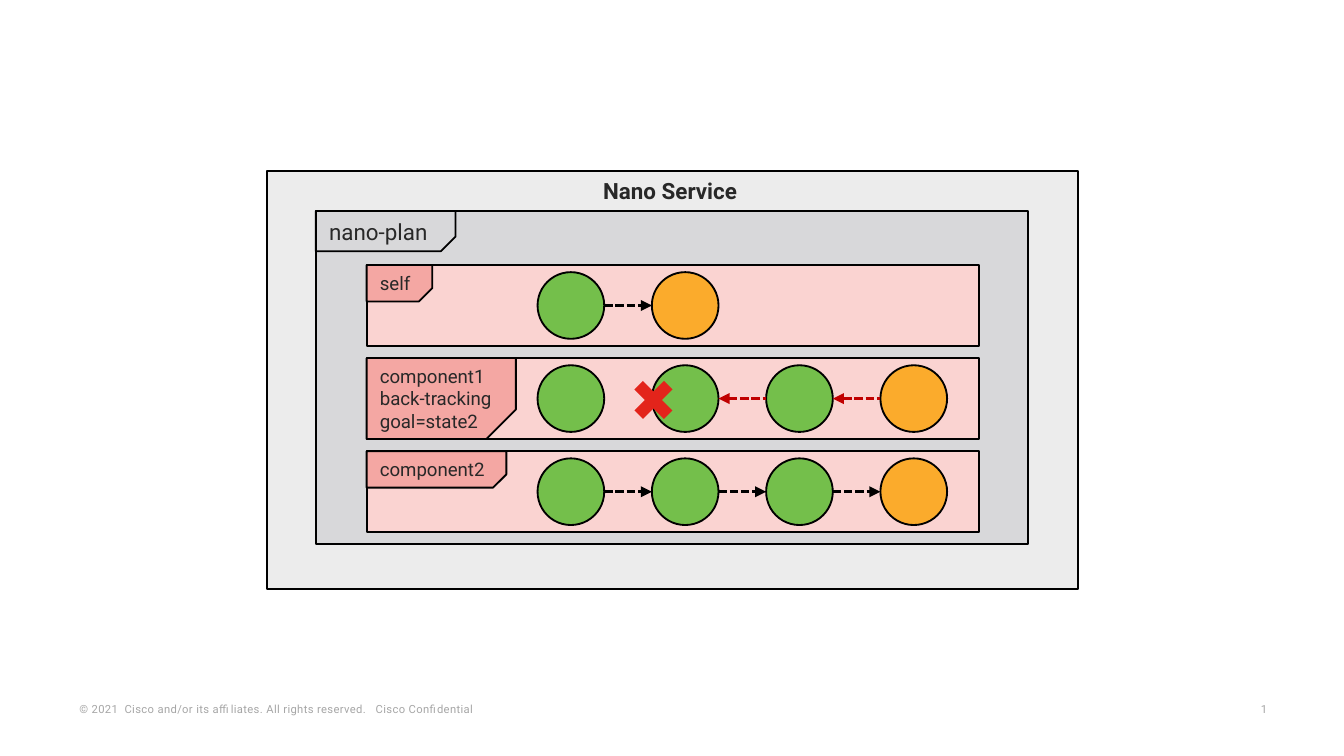
from lxml.etree import SubElement
from pptx import Presentation
from pptx.dml.color import RGBColor
from pptx.enum.dml import MSO_LINE
from pptx.enum.shapes import MSO_CONNECTOR, MSO_SHAPE
from pptx.enum.text import MSO_ANCHOR
from pptx.oxml.ns import qn
from pptx.util import Cm, Pt

BLACK, RED, DARK, GREY = "000000", "C00000", "282828", "A6A6A6"
GREEN, ORANGE = "74BF4B", "FBAB2C"

# Lengths in cm
BAR_X, BAR_Y, BAR_W, BAR_H, BAR_PITCH = 6.93, 5.01, 11.58, 1.53, 1.76
STATE_X, STATE_D, STATE_PITCH = 10.16, 1.26, 2.16

# Label lines, tag width, tag height, number of states, linked gaps, backwards?
COMPONENTS = [
    (["self"], 1.24, 0.69, 2, [0], False),
    (["component1", "back-tracking", "goal=state2"], 2.82, BAR_H, 4, [1, 2], True),
    (["component2"], 2.64, 0.69, 4, [0, 1, 2], False),
]


def rgb(color):
    return RGBColor.from_string(color)


def add_box(s, kind, x, y, w, h, fill=None, line=BLACK):
    sp = s.shapes.add_shape(kind, Cm(x), Cm(y), Cm(w), Cm(h))
    sp.shadow.inherit = False
    if fill:
        sp.fill.solid()
        sp.fill.fore_color.rgb = rgb(fill)
    else:
        sp.fill.background()
    if line:
        sp.line.color.rgb = rgb(line)
        sp.line.width = Pt(1)
    else:
        sp.line.fill.background()
    return sp


def add_text(s, lines, x, y, w, h, size, color=DARK, bold=False, spacing=None, frame=None):
    tf = s.shapes.add_textbox(Cm(x), Cm(y), Cm(w), Cm(h)).text_frame
    for name, value in {"word_wrap": True, **(frame or {})}.items():
        setattr(tf, name, value)
    for i, line in enumerate(lines):
        p = tf.add_paragraph() if i else tf.paragraphs[0]
        r = p.add_run()
        r.text = line
        for name, value in {"name": "Roboto", "size": Pt(size), "bold": bold}.items():
            setattr(r.font, name, value)
        r.font.color.rgb = rgb(color)
        if spacing:
            r._r.get_or_add_rPr().set("spc", str(spacing))


def add_tag(s, lines, x, y, w, h, size, fill=None):
    """Label with its lower right corner cut off."""
    sp = add_box(s, MSO_SHAPE.SNIP_1_RECTANGLE, x, y, w, h, fill)
    sp.adjustments[0] = 0.364
    sp._element.spPr.find(qn("a:xfrm")).set("flipV", "1")
    add_text(s, lines, x, y, w + 0.2, h, size)


def add_arrow(s, x1, x2, y, backwards):
    c = s.shapes.add_connector(MSO_CONNECTOR.STRAIGHT, Cm(x1), Cm(y), Cm(x2), Cm(y))
    c.line.color.rgb = rgb(RED if backwards else BLACK)
    c.line.width = Pt(1.5)
    c.line.dash_style = MSO_LINE.SQUARE_DOT
    end = "a:headEnd" if backwards else "a:tailEnd"
    SubElement(c.line._get_or_add_ln(), qn(end)).set("type", "triangle")
    SubElement(c._element.spPr, qn("a:effectLst"))


def add_component(s, y, lines, tag_w, tag_h, count, links, backwards):
    add_box(s, MSO_SHAPE.RECTANGLE, BAR_X, y, BAR_W, BAR_H, "FAD3D1")
    add_tag(s, lines, BAR_X, y, tag_w, tag_h, 10, "F4A7A3")
    top = y + (BAR_H - STATE_D) / 2
    for i in range(count):
        add_box(s, MSO_SHAPE.OVAL, STATE_X + i * STATE_PITCH, top, STATE_D, STATE_D,
                ORANGE if i == count - 1 else GREEN)
    for i in links:
        left = STATE_X + i * STATE_PITCH
        add_arrow(s, left + STATE_D, left + STATE_PITCH, y + BAR_H / 2, backwards)


def add_cross(s, cx, cy, w, h):
    for angle in (315, 45):
        sp = add_box(s, MSO_SHAPE.RECTANGLE, cx - w / 2, cy - h / 2, w, h, "E3241B", None)
        sp.rotation = angle


def add_footer(s):
    frame = {"vertical_anchor": MSO_ANCHOR.BOTTOM,
             "margin_left": Cm(0.18), "margin_right": Cm(0.18),
             "margin_top": Cm(0.08), "margin_bottom": Cm(0.08)}
    notice = "© 2021  Cisco and/or its affiliates. All rights reserved.   Cisco Confidential"
    for text, x, w in ((notice, 1.32, 9.45), ("1", 23.65, 0.61)):
        add_text(s, [text], x, 13.18, w, 0.43, 6, GREY, spacing=20, frame=frame)


def main():
    prs = Presentation()
    prs.slide_width, prs.slide_height = Cm(25.4), Cm(14.29)
    s = prs.slides.add_slide(prs.slide_layouts[6])

    # Service and plan frames
    add_box(s, MSO_SHAPE.RECTANGLE, 5.05, 3.23, 15.32, 7.9, "ECECEC")
    add_box(s, MSO_SHAPE.RECTANGLE, 5.97, 3.99, 13.46, 6.3, "D8D8DA")
    add_text(s, ["Nano Service"], 11.15, 3.23, 3.3, 0.76, 12, bold=True)
    add_tag(s, ["nano-plan"], 5.97, 3.99, 2.64, 0.76, 12)

    # Components with their states
    for i, component in enumerate(COMPONENTS):
        add_component(s, BAR_Y + i * BAR_PITCH, *component)

    # Broken link in component1
    add_cross(s, 12.35, 7.56, 0.23, 0.79)

    add_footer(s)
    prs.save("out.pptx")


if __name__ == "__main__":
    main()
